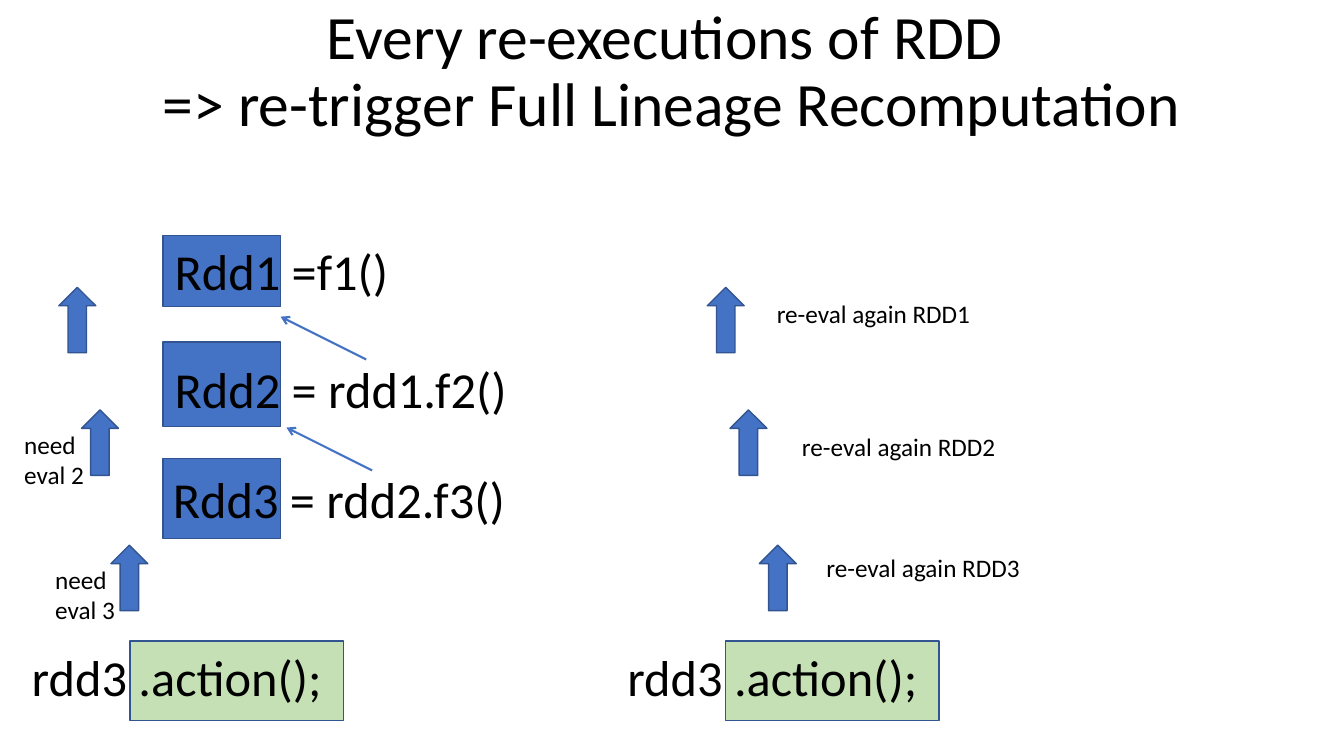
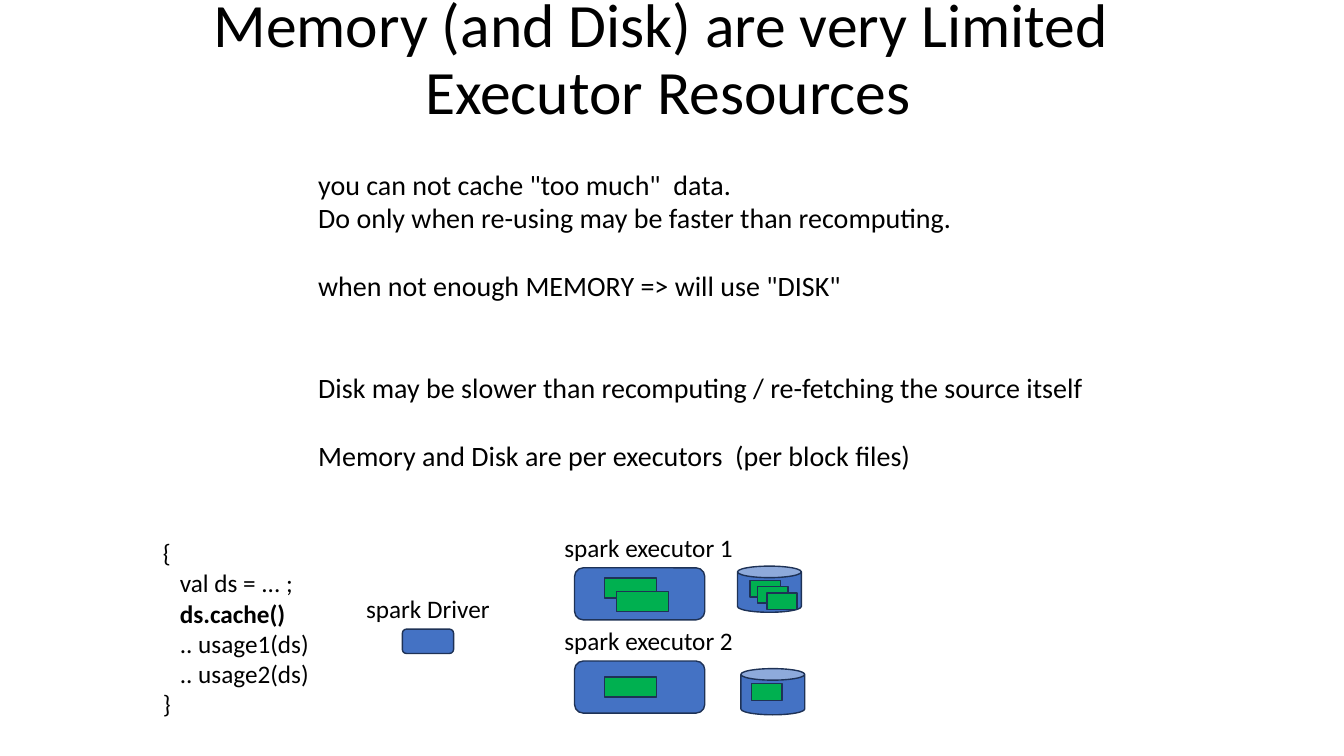
"""Two slides on RDD recomputation and on the limits of executor caches."""
from lxml import etree
from pptx import Presentation
from pptx import util as u
from pptx.dml.color import RGBColor
from pptx.enum import shapes, text
from pptx.oxml.ns import qn

BLACK = RGBColor(0x00, 0x00, 0x00)
BLUE = RGBColor(0x44, 0x72, 0xC4)
BLUE_EDGE = RGBColor(0x32, 0x54, 0x91)
NAVY_EDGE = RGBColor(0x1E, 0x32, 0x56)
PALE_GREEN = RGBColor(0xC5, 0xE0, 0xB4)
GREEN = RGBColor(0x00, 0xB0, 0x50)
FONT = "Calibri"
TITLE_SIZE, CODE_SIZE, BODY_SIZE, NOTE_SIZE = 44, 36, 20, 18
BLANK_LINE = 24.4
COLUMNS, ROWS = 160, 90
CELL = u.Inches(7.5) / ROWS
KIND = shapes.MSO_SHAPE


def add_block(slide, kind, place, fill, edge):
    block = slide.shapes.add_shape(kind, *(round(n * CELL) for n in place))
    block.shadow.inherit = False
    block.fill.solid()
    block.fill.fore_color.rgb = fill
    block.line.color.rgb = edge
    block.line.width = u.Pt(1)


def add_words(slide, lines, place, size, wrap=False):
    frame = slide.shapes.add_textbox(*(round(n * CELL) for n in place)).text_frame
    frame.word_wrap = wrap
    frame.text = "\n".join(lines)
    for paragraph in frame.paragraphs:
        for run in paragraph.runs:
            run.font.name = FONT
            run.font.size = u.Pt(size)
            run.font.color.rgb = BLACK
        if size == TITLE_SIZE:
            paragraph.alignment = text.PP_ALIGN.CENTER
            paragraph.line_spacing = 0.9
    if size == TITLE_SIZE:
        frame.vertical_anchor = text.MSO_ANCHOR.MIDDLE
    else:
        frame.auto_size = text.MSO_AUTO_SIZE.SHAPE_TO_FIT_TEXT
    return frame


deck = Presentation()
deck.slide_width, deck.slide_height = round(COLUMNS * CELL), round(ROWS * CELL)
lineage, limits = (deck.slides.add_slide(deck.slide_layouts[6]) for _ in range(2))

add_words(lineage, ["Every re-executions of RDD ", "=> re-trigger Full Lineage Recomputation"],
          (11, 0, 138, 17.4), TITLE_SIZE, wrap=True)

for top, height, code, left, code_top, width in (
    (28, 8.5, "Rdd1 =f1()", 19.6, 28, 28.1),
    (40.7, 10.1, "Rdd2 = rdd1.f2()", 19.6, 42.1, 42.4),
    (54.6, 9.5, "Rdd3 = rdd2.f3()", 19.4, 55.1, 42.4),
):
    add_block(lineage, KIND.RECTANGLE, (19.4, top, 14, height), BLUE, BLUE_EDGE)
    add_words(lineage, [code], (left, code_top, width, 8.5), CODE_SIZE)

for action_left in (2.6, 73.5):
    add_block(lineage, KIND.RECTANGLE, (action_left + 12.9, 76.3, 25.4, 9.5), PALE_GREEN, BLUE_EDGE)
    add_words(lineage, ["rdd3 .action();"], (action_left, 76.3, 37.3, 8.5), CODE_SIZE)

for run_left in (0, 77.2):
    for left, top in ((7, 34.2), (9.7, 48.8), (13.2, 64.9)):
        add_block(lineage, KIND.UP_ARROW, (run_left + left, top, 4.4, 7.8), BLUE, BLUE_EDGE)

for number, left, top in ((2, 1.7, 50.5), (3, 5.4, 66.6)):
    add_words(lineage, ["need", f"eval {number}"], (left, top, 9.6, 8.5), NOTE_SIZE)
for number, left, top in ((1, 91.3, 34.9), (2, 94.3, 50.8), (3, 97.2, 65.2)):
    add_words(lineage, [f"re-eval again RDD{number}"], (left, top, 25.7, 4.8), NOTE_SIZE)

for tip_left, tip_top in ((33.4, 37.7), (34.1, 50.9)):
    ends = (tip_left + 10.2, tip_top + 5.1, tip_left, tip_top)
    parent = lineage.shapes.add_connector(
        shapes.MSO_CONNECTOR.STRAIGHT, *(round(n * CELL) for n in ends))
    parent.line.color.rgb = BLUE
    parent.line.width = u.Pt(1.5)
    etree.SubElement(parent.line._get_or_add_ln(), qn("a:tailEnd"), type="arrow")
    etree.SubElement(parent._element.spPr, qn("a:effectLst"))

add_words(limits, ["Memory (and Disk) are very Limited ", "Executor Resources"],
          (0, 0.7, 159.1, 13.2), TITLE_SIZE, wrap=True)

advice = (
    ('you can not cache "too much"  data.', 0),
    ("Do only when re-using may be faster than recomputing.", 0),
    ('when not enough MEMORY => will use "DISK"', 1),
    ("Disk may be slower than recomputing / re-fetching the source itself", 2),
    ("Memory and Disk are per executors  (per block files)", 1),
)
advice_frame = add_words(limits, [line for line, _ in advice], (36.7, 19.3, 94.3, 37.6), BODY_SIZE)
for paragraph, (_, gap) in zip(advice_frame.paragraphs, advice):
    if gap:
        paragraph.space_before = u.Pt(gap * BLANK_LINE)

cache_code = add_words(
    limits,
    ["{", "   val ds = ... ;", "   ds.cache()", "   .. usage1(ds)", "   .. usage2(ds)", "}"],
    (18.2, 63.4, 20, 23), NOTE_SIZE)
cache_code.paragraphs[2].runs[0].font.bold = True

add_block(limits, KIND.ROUNDED_RECTANGLE, (47.9, 74.9, 6.1, 2.9), BLUE, NAVY_EDGE)
add_words(limits, ["spark Driver"], (42.4, 70.1, 18.5, 4.8), NOTE_SIZE, wrap=True)

for number, top, disk, memory_blocks, disk_blocks in (
    (1, 67.6, (87.8, 67.4), ((72, 68.8), (73.4, 70.4)), ((89.3, 69.1), (90.2, 69.8), (91.3, 70.6))),
    (2, 78.7, (88.2, 79.6), ((72, 80.6),), ((89.5, 81.4),)),
):
    add_words(limits, [f"spark executor {number}"], (66, top - 4.8, 24.5, 4.8), NOTE_SIZE, wrap=True)
    add_block(limits, KIND.ROUNDED_RECTANGLE, (68.4, top, 15.5, 6.2), BLUE, NAVY_EDGE)
    add_block(limits, KIND.CAN, (*disk, 7.6, 5.5), BLUE, NAVY_EDGE)
    for corner in memory_blocks:
        add_block(limits, KIND.RECTANGLE, (*corner, 6.2, 2.4), GREEN, NAVY_EDGE)
    for corner in disk_blocks:
        add_block(limits, KIND.RECTANGLE, (*corner, 3.6, 2), GREEN, NAVY_EDGE)

deck.save("out.pptx")
